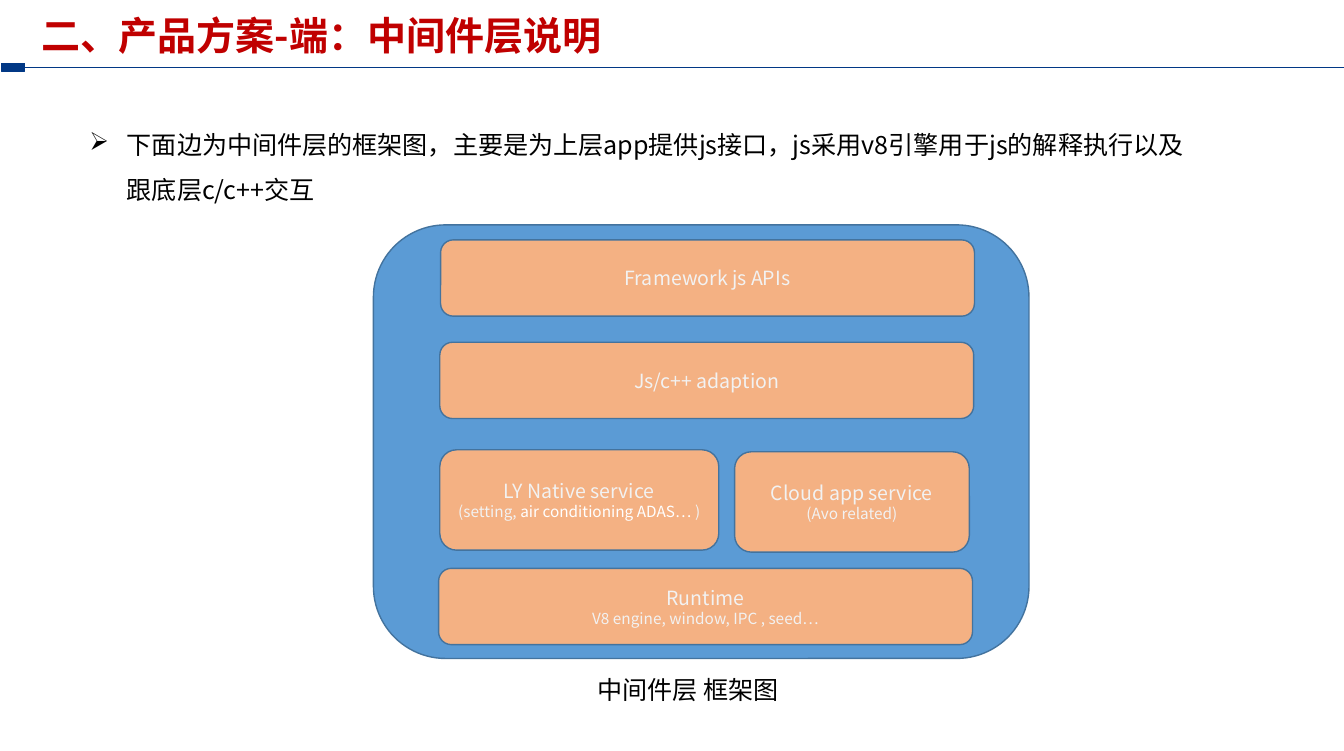
from lxml import etree
from pptx import Presentation
from pptx.dml.color import RGBColor
from pptx.enum.shapes import MSO_CONNECTOR, MSO_SHAPE
from pptx.enum.text import MSO_ANCHOR, PP_ALIGN
from pptx.oxml.ns import qn
from pptx.util import Cm, Pt

RECT, ROUND = MSO_SHAPE.RECTANGLE, MSO_SHAPE.ROUNDED_RECTANGLE
STRAIGHT = MSO_CONNECTOR.STRAIGHT
MIDDLE, CENTER = MSO_ANCHOR.MIDDLE, PP_ALIGN.CENTER
FONT = "Noto Sans CJK SC"
NAVY = RGBColor(0x01, 0x38, 0x85)
BLUE = RGBColor(0x5B, 0x9B, 0xD5)
EDGE = RGBColor(0x43, 0x73, 0x9E)
PEACH = RGBColor(0xF4, 0xB1, 0x83)
PALE = RGBColor(0xF2, 0xF2, 0xF2)
WHITE = RGBColor(0xFF, 0xFF, 0xFF)
BLACK = RGBColor(0x00, 0x00, 0x00)
RED = RGBColor(0xC0, 0x00, 0x00)


def style(run, size, color, bold=False):
    """Set size, colour and weight, and one font for Latin and Chinese."""
    font = run.font
    font.name, font.size, font.bold = FONT, Pt(size), bold
    font.color.rgb = color
    east = etree.SubElement(font._element, qn("a:ea"))
    east.set("typeface", FONT)


def add_box(kind, place, fill, edge, width):
    box = slide.shapes.add_shape(kind, *map(Cm, place))
    box.shadow.inherit = False
    box.fill.solid()
    box.fill.fore_color.rgb = fill
    box.line.color.rgb = edge
    box.line.width = Pt(width)
    return box


deck = Presentation()
deck.slide_width, deck.slide_height = Cm(34.01), Cm(19)
slide = deck.slides.add_slide(deck.slide_layouts[6])

# Header rule
bar = add_box(RECT, (0.03, 1.6, 0.6, 0.2), NAVY, NAVY, 0.75)
rule = slide.shapes.add_connector(STRAIGHT, Cm(34.01), Cm(1.7), Cm(0.63), Cm(1.7))
rule.end_connect(bar, 3)
rule.line.color.rgb = NAVY
rule.line.width = Pt(0.5)
etree.SubElement(rule._element.spPr, qn("a:effectLst"))

# Framework diagram: place, title, then the parts of the detail line
add_box(ROUND, (9.45, 5.69, 16.59, 10.97), BLUE, EDGE, 1)
layers = [
    ((11.13, 11.38, 7.06, 2.54), "LY Native service",
     [("(setting, ", PALE), ("air conditioning ADAS…", WHITE), (" )", PALE)]),
    ((18.59, 11.43, 5.94, 2.54), "Cloud app service", [("(Avo related)", PALE)]),
    ((11.15, 6.07, 13.51, 1.93), "Framework js APIs", []),
    ((11.13, 8.66, 13.51, 1.93), "Js/c++ adaption", []),
    ((11.1, 14.38, 13.51, 1.93), "Runtime",
     [("V8 engine, window, IPC , seed…", PALE)]),
]
for place, title, parts in layers:
    frame = add_box(ROUND, place, PEACH, EDGE, 1).text_frame
    frame.word_wrap = True
    frame.vertical_anchor = MIDDLE
    frame.text = title
    style(frame.paragraphs[0].runs[0], 14, PALE)
    if parts:
        detail = frame.add_paragraph()
        for text, color in parts:
            run = detail.add_run()
            run.text = text
            style(run, 11, color)
    for para in frame.paragraphs:
        para.alignment = CENTER

# Free text: place, wording, size, colour, bold, line spacing, bullet
notes = [
    ((2.01, 2.77, 28.8, 2.57),
     "下面边为中间件层的框架图，主要是为上层app提供js接口，"
     "js采用v8引擎用于js的解释执行以及跟底层c/c++交互",
     18, BLACK, False, 1.5, "➢"),
    ((14.86, 16.94, 5.54, 1.02), "中间件层 框架图", 18, BLACK, False, 1, None),
    ((0.79, 0.3, 16.61, 1.35), "二、产品方案-端：中间件层说明", 28, RED, True, 0.9, None),
]
for place, text, size, color, bold, space, mark in notes:
    frame = slide.shapes.add_textbox(*map(Cm, place)).text_frame
    frame.word_wrap = True
    frame.text = text
    para = frame.paragraphs[0]
    para.line_spacing = space
    style(para.runs[0], size, color, bold)
    if mark:
        props = para._p.get_or_add_pPr()
        props.set("marL", str(Cm(0.95)))
        props.set("indent", str(-Cm(0.95)))
        etree.SubElement(props, qn("a:buChar")).set("char", mark)

deck.save("out.pptx")
